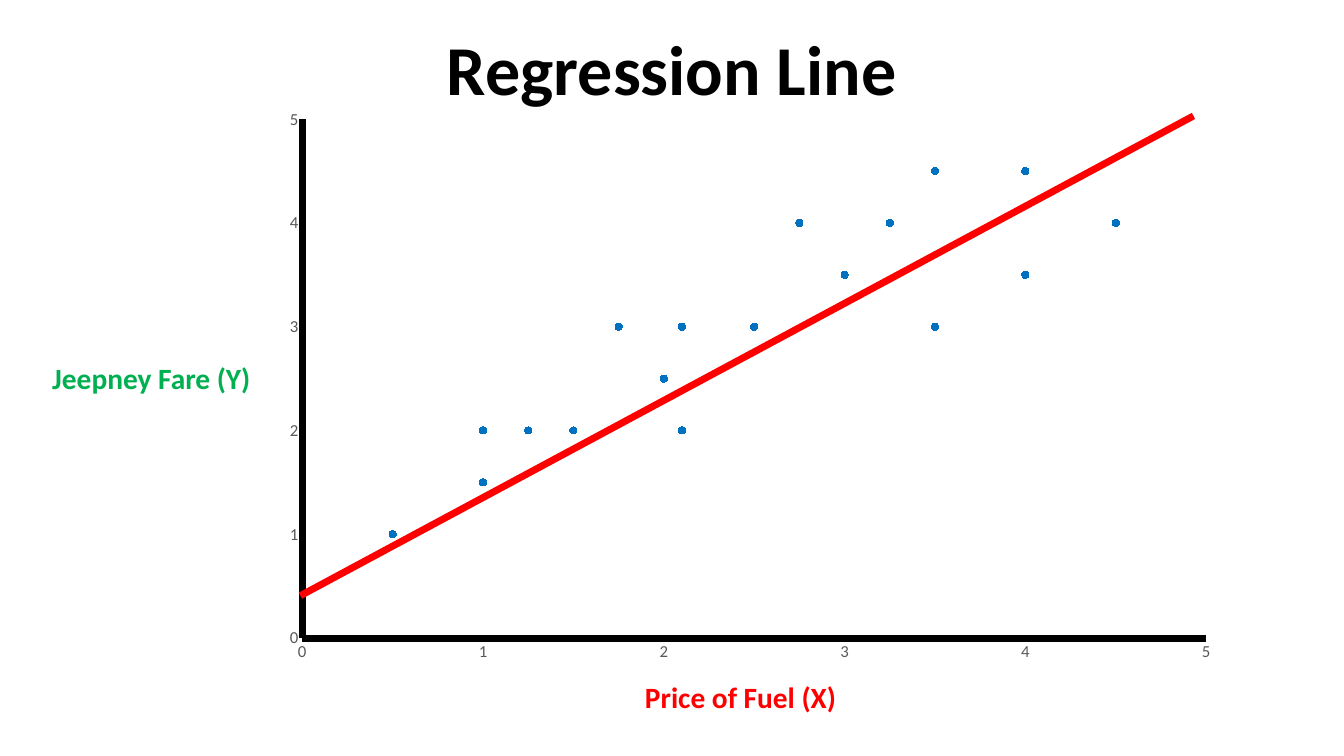
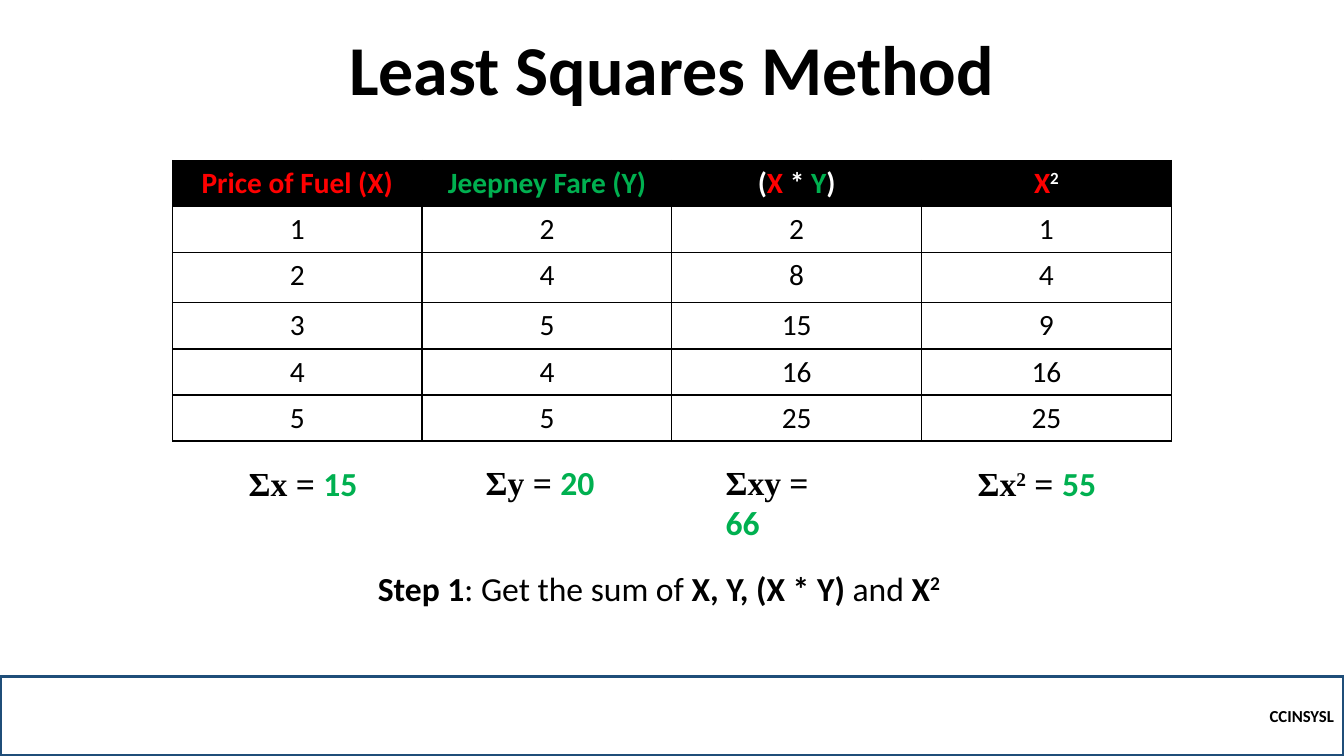
from dataclasses import dataclass

from lxml import etree
from pptx import Presentation
from pptx.chart.data import XyChartData
from pptx.dml.color import RGBColor
from pptx.enum.chart import XL_CHART_TYPE as ChartType
from pptx.enum.chart import XL_MARKER_STYLE as Marker
from pptx.enum.chart import XL_TICK_MARK as TickMark
from pptx.enum.shapes import MSO_CONNECTOR as Connector
from pptx.enum.shapes import MSO_SHAPE as Shape
from pptx.enum.text import MSO_ANCHOR as Anchor
from pptx.enum.text import MSO_AUTO_SIZE as AutoSize
from pptx.enum.text import PP_ALIGN as Align
from pptx.oxml import parse_xml
from pptx.oxml.ns import nsdecls, qn
from pptx.util import Pt

# Shared look
BLACK = RGBColor(0x00, 0x00, 0x00)
WHITE = RGBColor(0xFF, 0xFF, 0xFF)
RED = RGBColor(0xFF, 0x00, 0x00)
GREEN = RGBColor(0x00, 0xB0, 0x50)
BLUE = RGBColor(0x00, 0x70, 0xC0)
NAVY = RGBColor(0x1F, 0x4E, 0x79)
GRAY = RGBColor(0x59, 0x59, 0x59)
SANS, SERIF = "Calibri", "Times New Roman"
SLIDE_WIDTH, SLIDE_HEIGHT = 960, 540
LABEL_SIZE, SUM_SIZE = 21, 24


@dataclass(frozen=True)
class Span:
    text: str
    color: RGBColor = BLACK
    bold: bool = True
    font: str = SANS
    raised: bool = False


@dataclass(frozen=True)
class TextBox:
    left: float
    top: float
    width: float
    height: float
    size: float
    spans: tuple[Span, ...]
    wrap: bool = False


# Slide content
PRICE = Span("Price of Fuel (X)", RED)
FARE = Span("Jeepney Fare (Y)", GREEN)
AXIS_LABELS = (
    TextBox(453.6, 481.7, 152.6, 32.4, LABEL_SIZE, (PRICE,)),
    TextBox(30.2, 253.4, 157.7, 32.4, LABEL_SIZE, (FARE,)),
)
POINTS = (
    (0.5, 1), (1, 1.5), (1, 2), (1.25, 2), (1.5, 2), (1.75, 3),
    (2, 2.5), (2.5, 3), (2.75, 4), (3, 3.5), (3.25, 4), (3.5, 4.5),
    (2.1, 3), (2.1, 2), (4, 3.5), (3.5, 3), (4.5, 4), (4, 4.5),
)
HEADERS = (
    (PRICE,),
    (FARE,),
    (Span("(", WHITE), Span("X", RED), Span(" * ", WHITE),
     Span("Y", GREEN), Span(")", WHITE)),
    (Span("X", RED), Span("2", WHITE, raised=True)),
)
SAMPLES = ((1, 2), (2, 4), (3, 5), (4, 4), (5, 5))
ROWS = [(x, y, x * y, x * x) for x, y in SAMPLES]
ROW_HEIGHTS = (29.5, 29.5, 36, 29.5, 29.5, 29.5)
COLUMN_WIDTH = 178.4


def serif(text: str, raised: bool = False) -> Span:
    return Span(text, font=SERIF, raised=raised)


# Left, top, width, wrap and wording of the label under each column
SUM_LABELS = (
    (170.6, 326.9, 100, True, (serif("Σx = "),)),
    (339.8, 326.5, 92.2, False, (serif("Σy = "),)),
    (511.2, 326.5, 103.7, False, (serif("Σxy = "),)),
    (691.2, 327.3, 100.8, False,
     (serif("Σx"), serif("2", raised=True), serif(" = "))),
)
STEP = TextBox(262.8, 401.8, 434.2, 36, SUM_SIZE, (
    Span("Step 1"), Span(": Get the sum of ", bold=False),
    Span("X, Y, (X * Y)"), Span(" and ", bold=False),
    Span("X"), Span("2", raised=True),
), True)


# Text helpers
def write_spans(para, spans: tuple[Span, ...], size: float) -> None:
    para.font.size = Pt(size)
    for span in spans:
        run = para.add_run()
        run.text = span.text
        run.font.name = span.font
        run.font.size = Pt(size)
        run.font.bold = span.bold
        run.font.color.rgb = span.color
        if span.raised:
            run.font._element.set("baseline", "30000")


def add_text(slide, item: TextBox) -> None:
    box = slide.shapes.add_textbox(
        Pt(item.left), Pt(item.top), Pt(item.width), Pt(item.height))
    frame = box.text_frame
    frame.word_wrap = item.wrap
    frame.auto_size = AutoSize.SHAPE_TO_FIT_TEXT
    write_spans(frame.paragraphs[0], item.spans, item.size)


def add_titled_slide(deck, title: str):
    slide = deck.slides.add_slide(deck.slide_layouts[0])
    subtitle = slide.placeholders[1].element
    subtitle.getparent().remove(subtitle)
    box = slide.shapes.title
    box.left, box.top, box.width, box.height = Pt(36), Pt(26), Pt(888), Pt(57)
    frame = box.text_frame
    frame.vertical_anchor = Anchor.BOTTOM
    frame.auto_size = AutoSize.NONE
    para = frame.paragraphs[0]
    para.alignment = Align.CENTER
    para.line_spacing = 0.9
    write_spans(para, (Span(title),), 50)
    return slide


# Chart parts
def style_axis(axis) -> None:
    axis.minimum_scale, axis.maximum_scale, axis.major_unit = 0, 5, 1
    axis.has_major_gridlines = False
    axis.major_tick_mark = axis.minor_tick_mark = TickMark.NONE
    axis.format.line.color.rgb = BLACK
    axis.format.line.width = Pt(5)
    font = axis.tick_labels.font
    font.name, font.size, font.color.rgb = SANS, Pt(12), GRAY


def set_plot_area(chart, x: float, y: float, w: float, h: float) -> None:
    area = chart._chartSpace.find(".//" + qn("c:plotArea"))
    for layout in area.findall(qn("c:layout")):
        area.remove(layout)
    layout = parse_xml(f"<c:layout {nsdecls('c')}/>")
    manual = etree.SubElement(layout, qn("c:manualLayout"))
    settings = (("layoutTarget", "inner"), ("xMode", "edge"),
                ("yMode", "edge"), ("x", x), ("y", y), ("w", w), ("h", h))
    for name, value in settings:
        etree.SubElement(manual, qn(f"c:{name}")).set("val", str(value))
    area.insert(0, layout)


def add_scatter(slide) -> None:
    data = XyChartData()
    points = data.add_series("Series 1")
    for x, y in POINTS:
        points.add_data_point(x, y)
    chart = slide.shapes.add_chart(
        ChartType.XY_SCATTER, Pt(188.6), Pt(77.8), Pt(683.3), Pt(411.8), data).chart
    chart.has_legend = chart.has_title = False
    chart.font.name, chart.font.size = SANS, Pt(10)
    chart.font.color.rgb = BLACK
    style_axis(chart.category_axis)
    style_axis(chart.value_axis)
    set_plot_area(chart, 0.04, 0.018, 0.945, 0.9)
    plot = chart.plots[0]
    plot.vary_by_categories = False
    series = plot.series[0]
    series.smooth = False
    series.format.line.fill.background()
    marker = series.marker
    marker.style, marker.size = Marker.CIRCLE, 5
    marker.format.fill.solid()
    marker.format.fill.fore_color.rgb = BLUE
    marker.format.line.color.rgb = BLUE


def add_regression_line(slide) -> None:
    line = slide.shapes.add_connector(
        Connector.STRAIGHT, Pt(214.6), Pt(425.5), Pt(852.5), Pt(82.8))
    line.line.color.rgb = RED
    line.line.width = Pt(5)
    etree.SubElement(line._element.spPr, qn("a:effectLst"))


# Table parts
def set_borders(cell, thin: str) -> None:
    properties = cell._tc.get_or_add_tcPr()
    for index, side in enumerate("LRTB"):
        width = Pt(0.5) if side in thin else Pt(1)
        properties.insert(index, parse_xml(
            f'<a:ln{side} {nsdecls("a")} w="{width}"><a:solidFill>'
            f'<a:srgbClr val="{BLACK}"/></a:solidFill></a:ln{side}>'))


def add_table(slide) -> None:
    columns = len(HEADERS)
    table = slide.shapes.add_table(
        len(ROW_HEIGHTS), columns, Pt(123.1), Pt(114.5),
        Pt(COLUMN_WIDTH * columns), Pt(sum(ROW_HEIGHTS))).table
    table.horz_banding = False
    for column in table.columns:
        column.width = Pt(COLUMN_WIDTH)
    body = [[(Span(str(value), bold=False),) for value in row] for row in ROWS]
    for r, row in enumerate([HEADERS, *body]):
        table.rows[r].height = Pt(ROW_HEIGHTS[r])
        for c, spans in enumerate(row):
            cell = table.cell(r, c)
            thin = ""
            if r == 0:
                cell.fill.solid()
                cell.fill.fore_color.rgb = BLACK
                thin = "T" + {0: "L", columns - 1: "R"}.get(c, "")
            else:
                cell.fill.background()
            set_borders(cell, thin)
            para = cell.text_frame.paragraphs[0]
            para.alignment = Align.CENTER
            write_spans(para, spans, LABEL_SIZE)


def add_footer(slide) -> None:
    band = slide.shapes.add_shape(
        Shape.RECTANGLE, Pt(0), Pt(483.1), Pt(SLIDE_WIDTH), Pt(56.9))
    band.shadow.inherit = False
    band.fill.background()
    band.line.color.rgb = NAVY
    band.line.width = Pt(2.25)
    band.text_frame.vertical_anchor = Anchor.MIDDLE
    para = band.text_frame.paragraphs[0]
    para.alignment = Align.RIGHT
    write_spans(para, (Span("CCINSYSL"),), 12)


# Slides
def build_regression(deck) -> None:
    slide = add_titled_slide(deck, "Regression Line")
    for label in AXIS_LABELS:
        add_text(slide, label)
    add_scatter(slide)
    add_regression_line(slide)


def build_least_squares(deck) -> None:
    slide = add_titled_slide(deck, "Least Squares Method")
    add_footer(slide)
    add_table(slide)
    for label, values in zip(SUM_LABELS, zip(*ROWS)):
        left, top, width, wrap, spans = label
        total = Span(str(sum(values)), GREEN)
        add_text(slide, TextBox(left, top, width, 36, SUM_SIZE, (*spans, total), wrap))
    add_text(slide, STEP)


def main() -> None:
    deck = Presentation()
    deck.slide_width, deck.slide_height = Pt(SLIDE_WIDTH), Pt(SLIDE_HEIGHT)
    build_regression(deck)
    build_least_squares(deck)
    deck.save("out.pptx")


if __name__ == "__main__":
    main()
